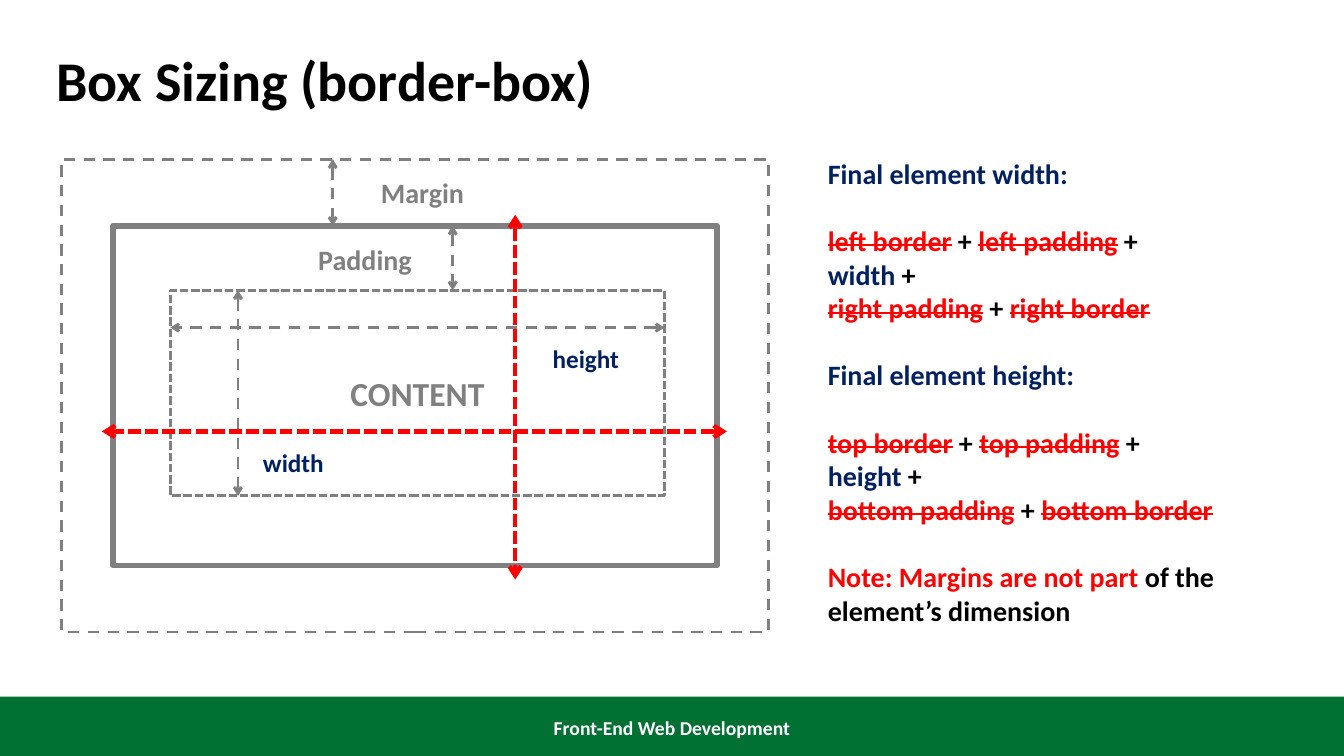
from lxml.etree import SubElement
from pptx import Presentation
from pptx.dml.color import RGBColor
from pptx.enum.dml import MSO_LINE
from pptx.enum.shapes import MSO_CONNECTOR, MSO_SHAPE
from pptx.enum.text import MSO_ANCHOR, MSO_AUTO_SIZE, PP_ALIGN
from pptx.oxml.ns import qn
from pptx.util import Pt

EMU_PER_PX = 9144
FONT = "Calibri"
BLACK, WHITE, GRAY = "000000", "FFFFFF", "808080"
NAVY, RED, GREEN = "002060", "FF0000", "007033"


def px(length):
    return length * EMU_PER_PX


def color(hex_string):
    return RGBColor.from_string(hex_string)


class SlideBuilder:
    def __init__(self, slide):
        self.slide = slide
        self.shapes = slide.shapes

    def place(self, shape, box):
        shape.left, shape.top, shape.width, shape.height = map(px, box)

    def frame(self, shape, anchor):
        text_frame = shape.text_frame
        text_frame.word_wrap = True
        text_frame.auto_size = MSO_AUTO_SIZE.NONE
        text_frame.vertical_anchor = anchor
        return text_frame

    def run(self, paragraph, text, size, ink, struck=False):
        run = paragraph.add_run()
        run.text = text
        run.font.name = FONT
        run.font.size = Pt(size)
        run.font.bold = True
        run.font.color.rgb = color(ink)
        if struck:
            run._r.get_or_add_rPr().set("strike", "sngStrike")

    def label(self, shape, text, size, ink, align=PP_ALIGN.CENTER, anchor=MSO_ANCHOR.TOP):
        paragraph = self.frame(shape, anchor).paragraphs[0]
        paragraph.alignment = align
        self.run(paragraph, text, size, ink)

    def title(self, box, text):
        heading = self.shapes.title
        self.place(heading, box)
        self.label(heading, text, 40, BLACK, PP_ALIGN.LEFT)

    def body(self, box, groups, size):
        placeholder = self.slide.placeholders[1]
        self.place(placeholder, box)
        text_frame = self.frame(placeholder, MSO_ANCHOR.TOP)
        paragraph = text_frame.paragraphs[0]
        for group_index, group in enumerate(groups):
            for line_index, line in enumerate(group):
                if group_index or line_index:
                    paragraph = text_frame.add_paragraph()
                starts_later_group = group_index > 0 and line_index == 0
                paragraph.space_before = Pt(24 if starts_later_group else 0)
                properties = paragraph._p.get_or_add_pPr()
                properties.set("marL", "0")
                properties.set("indent", "0")
                SubElement(properties, qn("a:buNone"))
                for text, *style in line:
                    self.run(paragraph, text, size, *style)

    def text(self, box, text, size, ink, anchor=MSO_ANCHOR.TOP):
        self.label(self.shapes.add_textbox(*map(px, box)), text, size, ink, anchor=anchor)

    def rectangle(self, box, fill=None, line_width=0, dash=None):
        rectangle = self.shapes.add_shape(MSO_SHAPE.RECTANGLE, *map(px, box))
        rectangle.shadow.inherit = False
        if fill:
            rectangle.fill.solid()
            rectangle.fill.fore_color.rgb = color(fill)
        else:
            rectangle.fill.background()
        if line_width:
            rectangle.line.color.rgb = color(GRAY)
            rectangle.line.width = Pt(line_width)
            rectangle.line.dash_style = dash
        else:
            rectangle.line.fill.background()
        return rectangle

    def double_arrow(self, ends, ink=GRAY, width=2, dash=MSO_LINE.DASH):
        arrow = self.shapes.add_connector(MSO_CONNECTOR.STRAIGHT, *map(px, ends))
        arrow.line.color.rgb = color(ink)
        arrow.line.width = Pt(width)
        arrow.line.dash_style = dash
        line = arrow.line._get_or_add_ln()
        for end in ("a:headEnd", "a:tailEnd"):
            SubElement(line, qn(end), type="arrow")
        SubElement(arrow._element.spPr, qn("a:effectLst"))


def struck(text):
    return text, RED, True


def sum_lines(first, first_inner, dimension, last_inner, last):
    return [
        [struck(first), (" + ", BLACK), struck(first_inner), (" +", BLACK)],
        [(dimension, NAVY), (" +", BLACK)],
        [struck(last_inner), (" + ", BLACK), struck(last)],
    ]


def main():
    presentation = Presentation()
    presentation.slide_width, presentation.slide_height = px(1333), px(750)
    builder = SlideBuilder(presentation.slides.add_slide(presentation.slide_layouts[1]))

    builder.rectangle((0, 691, 1333, 59), fill=GREEN)
    builder.text((0, 702, 1333, 40), "Front-End Web Development", 14, WHITE, MSO_ANCHOR.MIDDLE)
    builder.title((46, 40, 1250, 77), "Box Sizing (border-box)")

    margin_top, border_top, content_top, content_bottom = 158, 224, 288, 492
    content_left, content_right = 169, 659
    builder.rectangle((61, margin_top, 701, 469), line_width=2, dash=MSO_LINE.DASH)
    builder.rectangle((112, border_top, 599, 337), line_width=4)
    content = builder.rectangle(
        (content_left, content_top, content_right - content_left, content_bottom - content_top),
        line_width=2, dash=MSO_LINE.SQUARE_DOT)
    content.line._get_or_add_ln().find(qn("a:prstDash")).set("val", "sysDash")
    builder.label(content, "CONTENT", 24, GRAY, anchor=MSO_ANCHOR.MIDDLE)

    for ends in (
        (449, border_top, 449, content_top),
        (330, margin_top, 330, border_top),
        (236, content_top, 236, content_bottom),
        (content_right, 325, content_left, 325),
    ):
        builder.double_arrow(ends)
    for ends in ((511, 213, 511, 575), (721, 428, 101, 428)):
        builder.double_arrow(ends, RED, 3, MSO_LINE.SQUARE_DOT)

    builder.body((811, 150, 484, 481), [
        [[("Final element width:", NAVY)]],
        sum_lines("left border", "left padding", "width", "right padding", "right border"),
        [[("Final element height:", NAVY)]],
        sum_lines("top border", "top padding", "height", "bottom padding", "bottom border"),
        [[("Note: Margins are not part ", RED), ("of the element’s dimension", BLACK)]],
    ], 20)

    for box, name, size, ink in (
        ((348, 169, 142, 44), "Margin", 20, GRAY),
        ((291, 236, 142, 44), "Padding", 20, GRAY),
        ((233, 439, 116, 40), "width", 18, NAVY),
        ((527, 336, 108, 40), "height", 18, NAVY),
    ):
        builder.text(box, name, size, ink)

    presentation.save("out.pptx")


if __name__ == "__main__":
    main()
